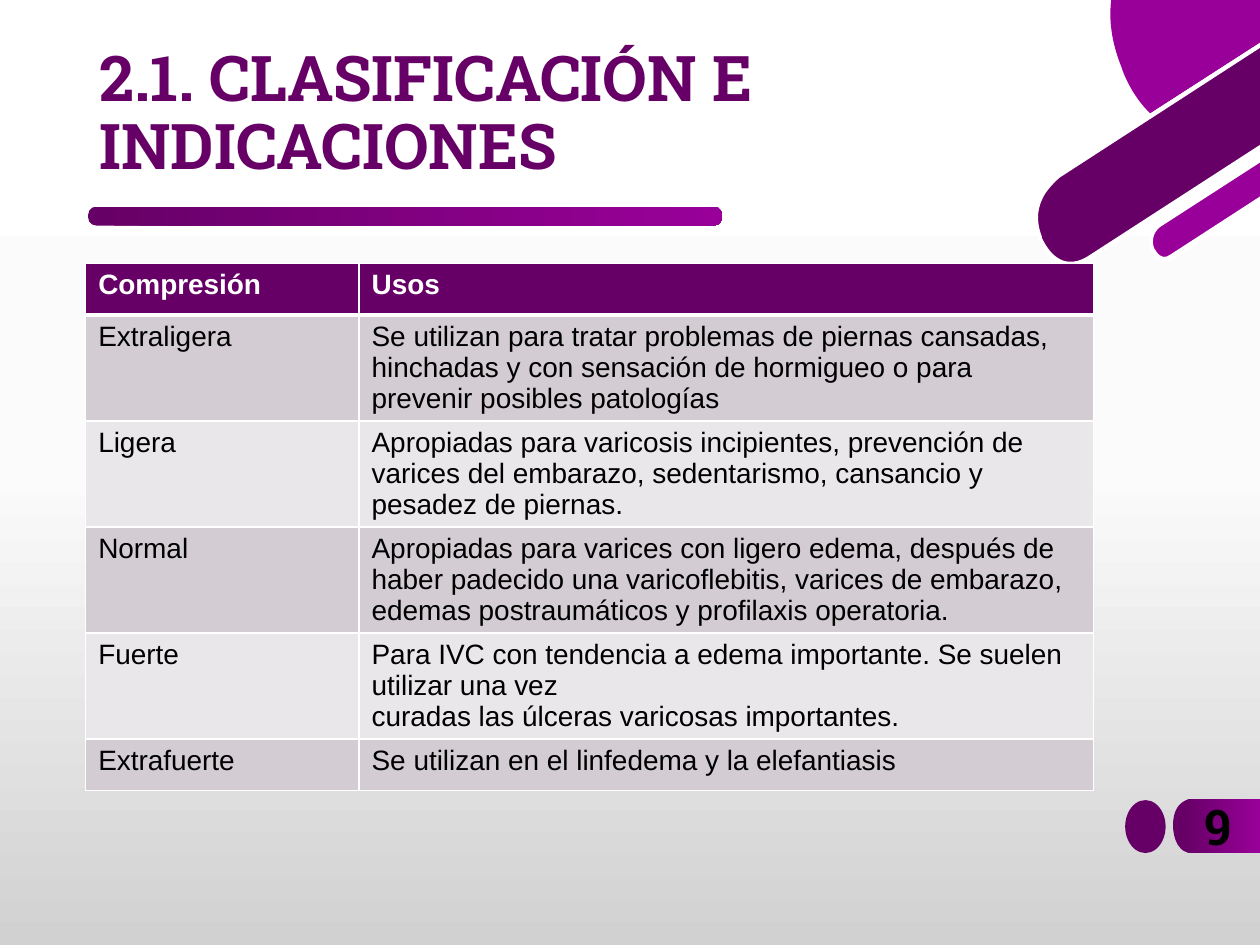
import dataclasses
import pptx
import pptx.dml.color
import pptx.enum.shapes
import pptx.enum.text
import pptx.oxml.ns
import pptx.util
from lxml import etree

Inches = pptx.util.Inches
Pt = pptx.util.Pt
qn = pptx.oxml.ns.qn
Shape = pptx.enum.shapes.MSO_SHAPE
Align = pptx.enum.text.PP_ALIGN


@dataclasses.dataclass(frozen=True)
class Theme:
    dark: str = "660066"
    bright: str = "990099"
    white: str = "FFFFFF"
    black: str = "000000"
    bands: tuple = ("D3CCD3", "EAE7EA")
    backdrop: tuple = ((0, "FFFFFF"), (50, "FBFBFB"), (100, "D1D1D1"))
    display: str = "Roboto Slab"
    body: str = "Arial"
    title_size: int = 36
    number_size: int = 28
    table_size: int = 16


THEME = Theme()

CORNER = [
    (THEME.white, [(199, 81), (179, 94), (155, 110, 133, 108, 114, 89), (100, 74, 92, 55, 92, 55),
                   (91, 52), (84, 34, 81, 16, 83, 0), (80, 0), (79, 17, 81, 35, 88, 54), (89, 57),
                   (90, 58, 97, 77, 112, 92), (121, 101, 133, 109, 148, 109),
                   (158, 109, 169, 106, 181, 98), (199, 86)]),
    (THEME.dark, [(41, 139), (41, 139, 13, 157, 26, 189), (26, 190), (26, 190, 38, 222, 65, 204),
                  (200, 117), (200, 36)]),
    (THEME.bright, [(91, 56), (91, 56, 98, 76, 113, 90), (200, 34), (200, 0), (82, 0),
                    (80, 15, 82, 33, 90, 53)]),
    (THEME.bright, [(200, 126), (120, 178), (120, 178, 110, 185, 115, 197), (115, 198),
                    (115, 198, 120, 211, 130, 204), (200, 158)]),
    (THEME.white, [(129, 202), (121, 208, 117, 198, 116, 197), (112, 186, 121, 180, 121, 180),
                   (200, 129), (200, 124), (120, 176), (120, 176, 114, 180, 112, 187),
                   (112, 191, 112, 195, 113, 199), (115, 203, 119, 208, 124, 208),
                   (126, 208, 128, 208, 131, 206), (200, 161), (200, 156)]),
    (THEME.white, [(64, 203), (39, 219, 28, 190, 27, 189), (27, 188), (22, 175, 23, 164, 30, 153),
                   (35, 146, 41, 141, 41, 141), (200, 38), (200, 34), (40, 137),
                   (39, 138, 26, 146, 22, 163), (20, 171, 21, 180, 24, 190), (25, 191),
                   (25, 191, 33, 212, 50, 212), (54, 212, 60, 210, 66, 206), (200, 119), (200, 115)]),
]
NUMBER_TAB = [(53, 44), (107, 44), (107, 1), (53, 1), (53, 1, 38, 1, 38, 22), (38, 23),
              (38, 23, 38, 44, 53, 44)]

ROWS = [
    ("Compresión", "Usos"),
    ("Extraligera", "Se utilizan para tratar problemas de piernas cansadas, hinchadas y con "
     "sensación de hormigueo o para prevenir posibles patologías"),
    ("Ligera", "Apropiadas para varicosis incipientes, prevención de varices del embarazo, "
     "sedentarismo, cansancio y pesadez de piernas."),
    ("Normal", "Apropiadas para varices con ligero edema, después de haber padecido una "
     "varicoflebitis, varices de embarazo, edemas postraumáticos y profilaxis operatoria."),
    ("Fuerte", "Para IVC con tendencia a edema importante. Se suelen utilizar una vez\n"
     "curadas las úlceras varicosas importantes."),
    ("Extrafuerte", "Se utilizan en el linfedema y la elefantiasis"),
]


def color(code):
    return pptx.dml.color.RGBColor.from_string(code)


def paint_solid(fill, code):
    fill.solid()
    fill.fore_color.rgb = color(code)


def paint_gradient(fill, element, stops, angle):
    fill.gradient()
    fill.gradient_angle = angle
    stop_list = next(element.iter(qn("a:gsLst")))
    for stop in list(stop_list):
        stop_list.remove(stop)
    for share, code in stops:
        stop = etree.SubElement(stop_list, qn("a:gs"), pos=str(share * 1000))
        etree.SubElement(stop, qn("a:srgbClr"), val=code)


def make_plain(shape):
    shape.shadow.inherit = False
    shape.line.fill.background()
    return shape


def set_font(para, name, size, code, bold):
    para.font.name = name
    para.font.size = Pt(size)
    para.font.bold = bold
    para.font.color.rgb = color(code)


def bend_curves(shape, outline):
    lines = iter(list(shape.element.iter(qn("a:lnTo"))))
    for segment in outline[1:]:
        parts = [next(lines) for _ in range(len(segment) // 2)]
        if len(parts) == 3:
            curve = etree.Element(qn("a:cubicBezTo"))
            parts[0].addprevious(curve)
            for part in parts:
                curve.append(part[0])
                part.getparent().remove(part)


def add_outline(page, box, columns, outline):
    left, top, width, height = box
    unit = width / columns
    points = [(Inches(left + segment[i] * unit), Inches(top + segment[i + 1] * unit))
              for segment in outline for i in range(0, len(segment), 2)]
    builder = page.shapes.build_freeform(*points[0])
    builder.add_line_segments(points[1:], close=False)
    shape = make_plain(builder.convert_to_shape())
    bend_curves(shape, outline)
    etree.SubElement(next(shape.element.iter(qn("a:path"))), qn("a:close"))
    return shape


def add_corner(page, box):
    for code, outline in CORNER:
        paint_solid(add_outline(page, box, 200, outline).fill, code)


def add_title(page, box, text):
    left, top, width, height = box
    title = page.shapes.title
    title.left, title.top, title.width, title.height = map(Inches, (left, top, width, height * 0.74))
    frame = title.text_frame
    frame.text = text
    frame.word_wrap = True
    frame.auto_size = pptx.enum.text.MSO_AUTO_SIZE.NONE
    frame.vertical_anchor = pptx.enum.text.MSO_ANCHOR.MIDDLE
    para = frame.paragraphs[0]
    para.alignment = Align.LEFT
    para.line_spacing = 0.9
    set_font(para, THEME.display, THEME.title_size, THEME.dark, True)

    rule = make_plain(page.shapes.add_shape(
        Shape.ROUNDED_RECTANGLE, Inches(left + 0.01), Inches(top + height - 0.15),
        Inches(5.03), Inches(0.15)))
    rule.adjustments[0] = 0.43
    paint_gradient(rule.fill, rule.element, ((0, THEME.dark), (100, THEME.bright)), 0)


def add_page_number(page, box, number):
    left, top, width, height = box
    dot = make_plain(page.shapes.add_shape(
        Shape.OVAL, Inches(left), Inches(top + 0.02), Inches(width * 0.3), Inches(0.42)))
    paint_solid(dot.fill, THEME.dark)
    tab = add_outline(page, box, 107, NUMBER_TAB)
    paint_gradient(tab.fill, tab.element, ((12, THEME.dark), (100, THEME.bright)), 0)
    label = page.shapes.add_textbox(
        Inches(left + 0.4), Inches(top - 0.06), Inches(width - 0.4), Inches(0.57))
    label.text_frame.word_wrap = True
    label.text_frame.text = number
    para = label.text_frame.paragraphs[0]
    para.alignment = Align.CENTER
    set_font(para, THEME.display, THEME.number_size, THEME.black, True)


def set_borders(cell, widths):
    properties = cell._tc.get_or_add_tcPr()
    for index, (side, width) in enumerate(widths.items()):
        line = etree.Element(qn("a:" + side), w=str(Pt(width)))
        solid = etree.SubElement(line, qn("a:solidFill"))
        etree.SubElement(solid, qn("a:srgbClr"), val=THEME.white)
        properties.insert(index, line)


def add_uses_table(page, box, rows):
    table = page.shapes.add_table(len(rows), 2, *map(Inches, box)).table
    table.columns[0].width = Inches(2.17)
    table.columns[1].width = Inches(box[2] - 2.17)
    for r, texts in enumerate(rows):
        header = r == 0
        for c, text in enumerate(texts):
            cell = table.cell(r, c)
            cell.text = text
            paint_solid(cell.fill, THEME.dark if header else THEME.bands[(r - 1) % 2])
            set_borders(cell, {"lnL": 1, "lnR": 1, "lnT": 3 if r == 1 else 1,
                               "lnB": 3 if header else 1})
            for para in cell.text_frame.paragraphs:
                set_font(para, THEME.body, THEME.table_size,
                         THEME.white if header else THEME.black, header)


deck = pptx.Presentation()
deck.slide_width, deck.slide_height = Inches(10), Inches(7.5)
page = deck.slides.add_slide(deck.slide_layouts[5])
paint_gradient(page.background.fill, page.element, THEME.backdrop, 270)
add_corner(page, (8, 0, 2, 2.12))
add_title(page, (0.69, 0.4, 7.78, 1.39), "2.1. CLASIFICACIÓN E INDICACIONES")
add_uses_table(page, (0.68, 2.09, 8, 2.46), ROWS)
add_page_number(page, (8.93, 6.33, 1.07, 0.44), "9")
deck.save("out.pptx")
